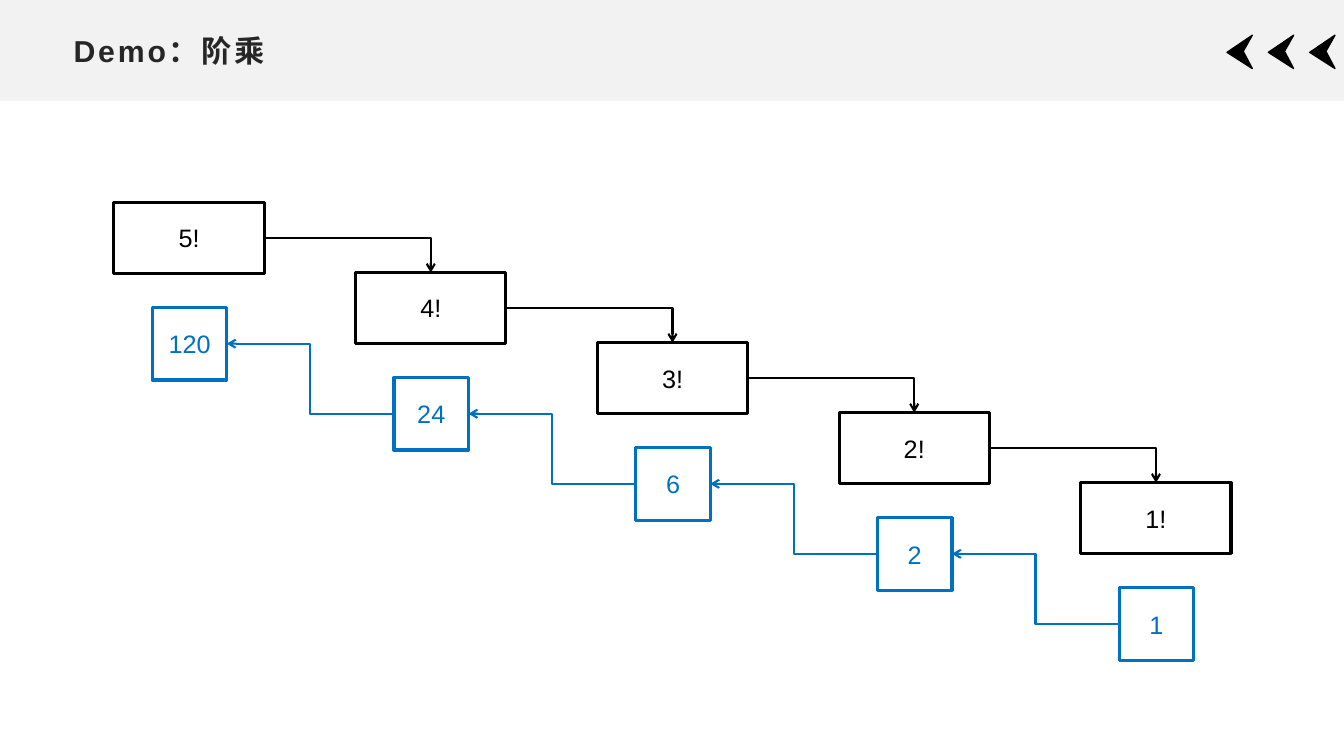
from lxml import etree
from pptx import Presentation
from pptx.dml.color import RGBColor
from pptx.enum.shapes import MSO_CONNECTOR as Link, MSO_SHAPE as Shape
from pptx.enum.text import MSO_ANCHOR as Anchor, MSO_AUTO_SIZE as Fit, PP_ALIGN as Align
from pptx.oxml.ns import qn
from pptx.util import Inches, Pt

BLACK, BLUE, GREY, DARK = "000000", "0070C0", "F2F2F2", "262626"
TOP, LEFT, RIGHT = 0, 1, 3  # connection sites of a rectangle


def colour(code):
    return RGBColor.from_string(code)


class Painter:
    font = "Arial"

    def __init__(self, page):
        self.page = page
        self.shapes = page.shapes

    def format_text(self, span, size, code, bold=False):
        values = {"name": self.font, "size": Pt(size), "bold": bold}
        for name, value in values.items():
            setattr(span.font, name, value)
        span.font.color.rgb = colour(code)

    def paint(self, shape, fill=None, line=None, width=1):
        shape.shadow.inherit = False
        if fill:
            shape.fill.solid()
            shape.fill.fore_color.rgb = colour(fill)
        else:
            shape.fill.background()
        if line:
            shape.line.color.rgb = colour(line)
            shape.line.width = Pt(width)
        else:
            shape.line.fill.background()

    def band(self, width, height, fill):
        shape = self.shapes.add_shape(Shape.RECTANGLE, 0, 0, Inches(width), Inches(height))
        self.paint(shape, fill)

    def chevron(self, left, top):
        points = [(0.25, 0.33), (0, 0.17), (0.25, 0), (0.16, 0.16)]
        corners = [(Inches(left + x), Inches(top + y)) for x, y in points]
        builder = self.shapes.build_freeform(*corners[0])
        builder.add_line_segments(corners[1:], close=True)
        self.paint(builder.convert_to_shape(), BLACK, BLACK)

    def title(self, text, left, top, width, height):
        box = self.shapes.title
        place = {"left": left, "top": top, "width": width, "height": height}
        for name, value in place.items():
            setattr(box, name, Inches(value))
        frame = box.text_frame
        settings = {"word_wrap": True, "auto_size": Fit.NONE, "vertical_anchor": Anchor.MIDDLE}
        for name, value in settings.items():
            setattr(frame, name, value)
        para = frame.paragraphs[0]
        para.alignment = Align.LEFT
        span = para.add_run()
        span.text = text
        self.format_text(span, 21.6, DARK, bold=True)
        span.font._element.set("spc", "200")
        # Bring the title in front of the band
        self.shapes._spTree.append(box._element)

    def box(self, text, left, top, width, height, code):
        shape = self.shapes.add_shape(Shape.RECTANGLE, *map(Inches, (left, top, width, height)))
        self.paint(shape, line=code, width=2.25)
        shape.text_frame.vertical_anchor = Anchor.MIDDLE
        para = shape.text_frame.paragraphs[0]
        para.alignment = Align.CENTER
        span = para.add_run()
        span.text = text
        self.format_text(span, 18, code)
        return shape

    def arrow(self, start, start_site, end, end_site, code, preset):
        line = self.shapes.add_connector(Link.ELBOW, 0, 0, 0, 0)
        line.begin_connect(start, start_site)
        line.end_connect(end, end_site)
        line.line.color.rgb = colour(code)
        line.line.width = Pt(1.5)
        properties = line._element.spPr
        properties.find(qn("a:prstGeom")).set("prst", preset)
        etree.SubElement(properties.find(qn("a:ln")), qn("a:tailEnd"), type="arrow")
        etree.SubElement(properties, qn("a:effectLst"))


def main():
    deck = Presentation()
    deck.slide_width, deck.slide_height = Inches(13.33), Inches(7.5)
    painter = Painter(deck.slides.add_slide(deck.slide_layouts[5]))

    # Header
    painter.band(13.33, 1, GREY)
    for index in range(3):
        painter.chevron(12.17 + 0.41 * index, 0.35)
    painter.title("Demo：阶乘", 0.63, 0.26, 12.07, 0.48)

    # Staircase of calls and their results
    run, rise = 9.59 / 4, 2.78 / 4
    calls, results = [], []
    for step, (call, result) in enumerate(
        [("5!", "120"), ("4!", "24"), ("3!", "6"), ("2!", "2"), ("1!", "1")]
    ):
        x, y = run * step, rise * step
        calls.append(painter.box(call, 1.13 + x, 2.01 + y, 1.49, 0.7, BLACK))
        results.append(painter.box(result, 1.51 + x, 3.05 + y, 0.74, 0.72, BLUE))

    # Calls go down, results come back up
    for upper, lower in zip(calls, calls[1:]):
        painter.arrow(upper, RIGHT, lower, TOP, BLACK, "bentConnector2")
    for upper, lower in zip(results, results[1:]):
        painter.arrow(lower, LEFT, upper, RIGHT, BLUE, "bentConnector3")

    deck.save("out.pptx")


if __name__ == "__main__":
    main()
